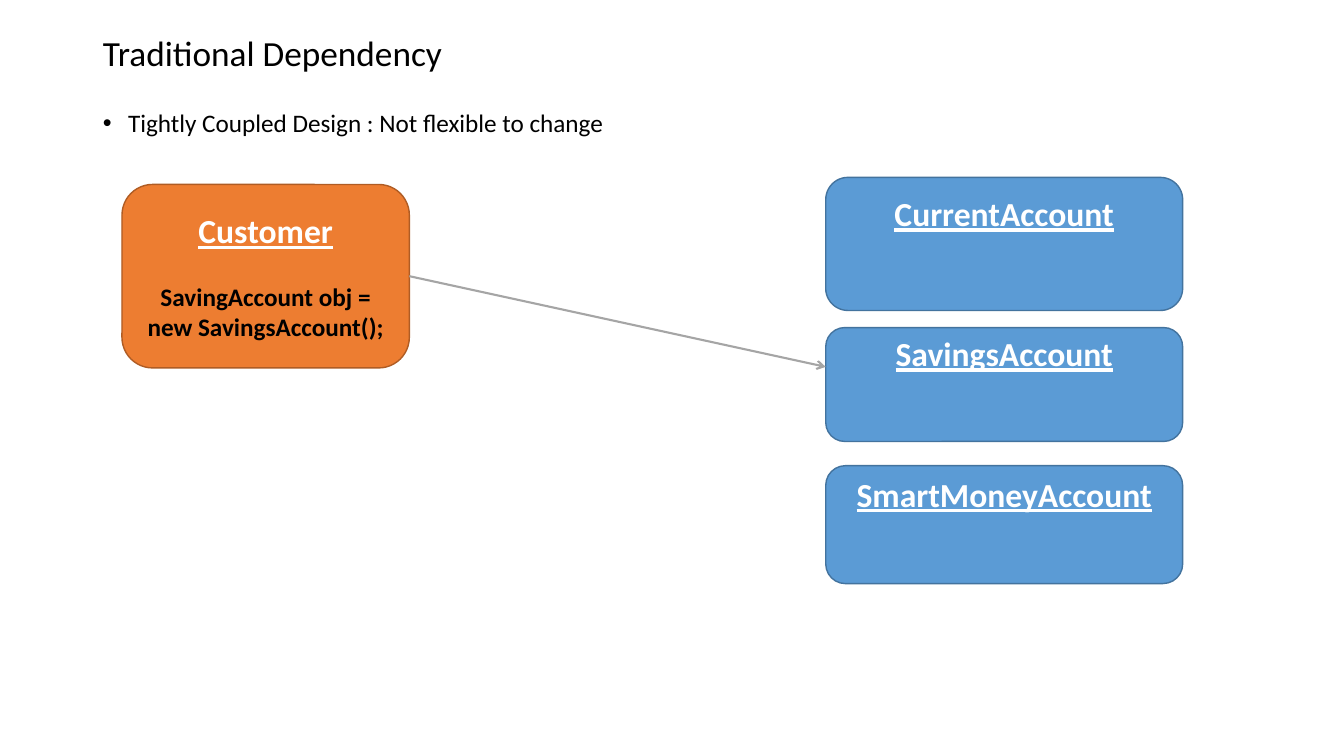
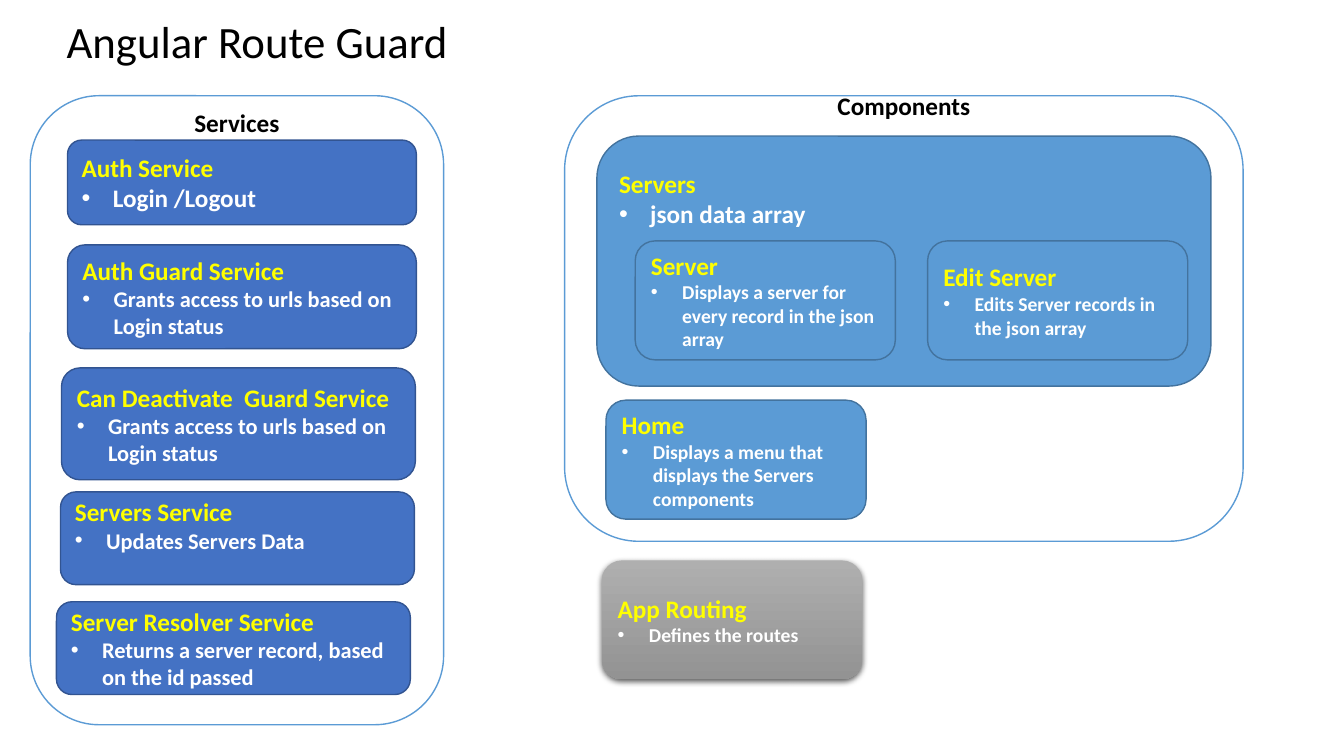
from lxml.etree import SubElement
from pptx import Presentation
from pptx.dml.color import RGBColor
from pptx.enum.shapes import MSO_CONNECTOR as Link, MSO_SHAPE as Shape
from pptx.enum.text import MSO_ANCHOR as Anchor, MSO_AUTO_SIZE as Fit, PP_ALIGN as Align
from pptx.oxml.ns import qn
from pptx.util import Inches, Pt

FONT = "Calibri"
BLACK = RGBColor(0x00, 0x00, 0x00)
WHITE = RGBColor(0xFF, 0xFF, 0xFF)
YELLOW = RGBColor(0xFF, 0xFF, 0x00)
ORANGE = RGBColor(0xED, 0x7D, 0x31)
RUST = RGBColor(0xAF, 0x5C, 0x24)
SKY = RGBColor(0x5B, 0x9B, 0xD5)
STEEL = RGBColor(0x43, 0x73, 0x9E)
BLUE = RGBColor(0x44, 0x72, 0xC4)
NAVY = RGBColor(0x32, 0x54, 0x91)
GRAY = RGBColor(0xA5, 0xA5, 0xA5)
PALE = RGBColor(0xAF, 0xAF, 0xAF)
DARK = RGBColor(0x93, 0x93, 0x93)

HEAD = {"size": Pt(24), "bold": True, "underline": True}
NAME = {"size": Pt(18), "bold": True}

# name, top, height, top inset
ACCOUNTS = [
    ("CurrentAccount", 1.76, 1.32, 0.09),
    ("SavingsAccount", 3.25, 1.13, 0),
    ("SmartMoneyAccount", 4.62, 1.17, 0.02),
]
# box, name, note, note size, top inset (None centres the text)
SERVICES = [
    ((0.67, 1.39, 3.46, 0.84), "Auth Service", "Login /Logout", 18, None),
    ((0.67, 2.43, 3.46, 1.03), "Auth Guard Service",
     "Grants access to urls based on Login status", 16, None),
    ((0.61, 3.65, 3.51, 1.11), "Can Deactivate  Guard Service",
     "Grants access to urls based on Login status", 16, None),
    ((0.6, 4.88, 3.51, 0.92), "Servers Service", "Updates Servers Data", 16, 0),
    ((0.56, 5.97, 3.51, 0.92), "Server Resolver Service",
     "Returns a server record, based on the id passed", 16, None),
]
PARTS = [
    ((5.92, 1.35, 6.09, 2.48), "Servers", "json data array", 18, 0.2),
    ((6.3, 2.39, 2.58, 1.18), "Server",
     "Displays a server for every record in the json array", 14, None),
    ((9.2, 2.39, 2.58, 1.18), "Edit Server",
     "Edits Server records in the json array", 14, None),
    ((6.01, 3.97, 2.58, 1.18), "Home",
     "Displays a menu that displays the Servers components", 14, None),
]
ROUTING = ((5.97, 5.56, 2.58, 1.18), "App Routing", "Defines the routes", 14, None)


def place(item, box):
    for key, val in zip(("left", "top", "width", "height"), box):
        setattr(item, key, Inches(val))


def write(para, text, color, fmt, align=Align.LEFT):
    para.alignment = align
    run = para.add_run()
    run.text = text
    run.font.color.rgb = color
    for key, val in {"name": FONT, **fmt}.items():
        setattr(run.font, key, val)


def bullet(para, indent):
    props = para._p.get_or_add_pPr()
    props.set("marL", str(Inches(indent)))
    props.set("indent", str(-Inches(indent)))
    SubElement(props, qn("a:buFont")).set("typeface", "Arial")
    SubElement(props, qn("a:buChar")).set("char", "•")


def fill_holder(holder, box, text, size, indent=None):
    """Move a title or body placeholder and write its one line."""
    place(holder, box)
    frame = holder.text_frame
    frame.auto_size = Fit.NONE
    frame.word_wrap = True
    para = frame.paragraphs[0]
    if indent:
        bullet(para, indent)
    else:
        frame.vertical_anchor = Anchor.MIDDLE
    para.line_spacing = 0.9
    para.space_before = Pt(0)
    write(para, text, BLACK, {"size": Pt(size)})


def add_box(slide, box, fill, line, top=None):
    """Add a rounded box; top is the inset of text set from the top."""
    shape = slide.shapes.add_shape(Shape.ROUNDED_RECTANGLE, *map(Inches, box))
    shape.shadow.inherit = False
    shape.fill.solid()
    shape.fill.fore_color.rgb = fill
    shape.line.color.rgb = line
    shape.line.width = Pt(1)
    frame = shape.text_frame
    frame.word_wrap = True
    frame.vertical_anchor = Anchor.MIDDLE
    if top is not None:
        frame.vertical_anchor = Anchor.TOP
        frame.margin_top = Inches(top)
    return shape


def add_card(slide, fill, line, box, name, note, size, top):
    card = add_box(slide, box, fill, line, top)
    frame = card.text_frame
    write(frame.paragraphs[0], name, YELLOW, NAME)
    para = frame.add_paragraph()
    bullet(para, 0.31)
    write(para, note, WHITE, {**NAME, "size": Pt(size)})
    return card


def add_panel(slide, box, name, top):
    """Add an outlined panel with its heading centred at the given top."""
    add_box(slide, box, WHITE, SKY)
    left, _, width, _ = box
    label = slide.shapes.add_textbox(*map(Inches, (left, top, width, 0.31)))
    frame = label.text_frame
    frame.word_wrap = True
    frame.margin_top = frame.margin_bottom = 0
    write(frame.paragraphs[0], name, BLACK, NAME, Align.CENTER)


def add_arrow(slide, start, end):
    """Draw an arrow from the right side of a box to a point."""
    x, y = map(Inches, end)
    arrow = slide.shapes.add_connector(Link.STRAIGHT, x, y, x, y)
    arrow.begin_connect(start, 3)
    arrow.line.color.rgb = GRAY
    arrow.line.width = Pt(1.5)
    SubElement(arrow.line._get_or_add_ln(), qn("a:tailEnd")).set("type", "arrow")
    SubElement(arrow._element.spPr, qn("a:effectLst"))


def shade(card):
    """Give a card a downward gradient and a soft shadow, with no line."""
    card.line.fill.background()
    card.fill.gradient()
    card.fill.gradient_angle = 270
    for stop, color in zip(card.fill.gradient_stops, (PALE, DARK)):
        stop.color.rgb = color
    effects = card._element.spPr.find(qn("a:effectLst"))
    shadow = SubElement(effects, qn("a:outerShdw"), blurRad=str(Pt(4.5)),
                        dist=str(Pt(1.5)), dir="5400000", rotWithShape="0")
    tone = SubElement(shadow, qn("a:srgbClr"), val=str(BLACK))
    SubElement(tone, qn("a:alpha"), val="63000")


def coupling(deck):
    slide = deck.slides.add_slide(deck.slide_layouts[1])
    fill_holder(slide.shapes.title, (0.92, 0.4, 6.07, 0.3),
                "Traditional Dependency", 25.2)
    fill_holder(slide.placeholders[1], (0.92, 1.05, 8.31, 0.45),
                "Tightly Coupled Design : Not flexible to change", 18, 0.25)

    client = add_box(slide, (1.21, 1.83, 2.85, 1.82), ORANGE, RUST)
    frame = client.text_frame
    write(frame.paragraphs[0], "Customer", WHITE, HEAD, Align.CENTER)
    code = frame.add_paragraph()
    code.space_before = Pt(22)
    write(code, "SavingAccount obj = new SavingsAccount();", BLACK, NAME, Align.CENTER)

    for name, y, height, top in ACCOUNTS:
        box = add_box(slide, (8.19, y, 3.54, height), SKY, STEEL, top)
        write(box.text_frame.paragraphs[0], name, WHITE, HEAD, Align.CENTER)
    add_arrow(slide, client, (8.19, 3.64))


def guard(deck):
    slide = deck.slides.add_slide(deck.slide_layouts[5])
    fill_holder(slide.shapes.title, (0.56, 0.16, 10.08, 0.55),
                "Angular Route Guard", 32)
    add_panel(slide, (5.6, 0.95, 6.73, 4.42), "Components", 0.9)
    add_panel(slide, (0.3, 0.95, 4.1, 6.24), "Services", 1.06)
    for item in SERVICES:
        add_card(slide, BLUE, NAVY, *item)
    for item in PARTS:
        add_card(slide, SKY, STEEL, *item)
    shade(add_card(slide, GRAY, GRAY, *ROUTING))


def main():
    deck = Presentation()
    deck.slide_width = Inches(13.33)
    deck.slide_height = Inches(7.5)
    coupling(deck)
    guard(deck)
    deck.save("out.pptx")


if __name__ == "__main__":
    main()
